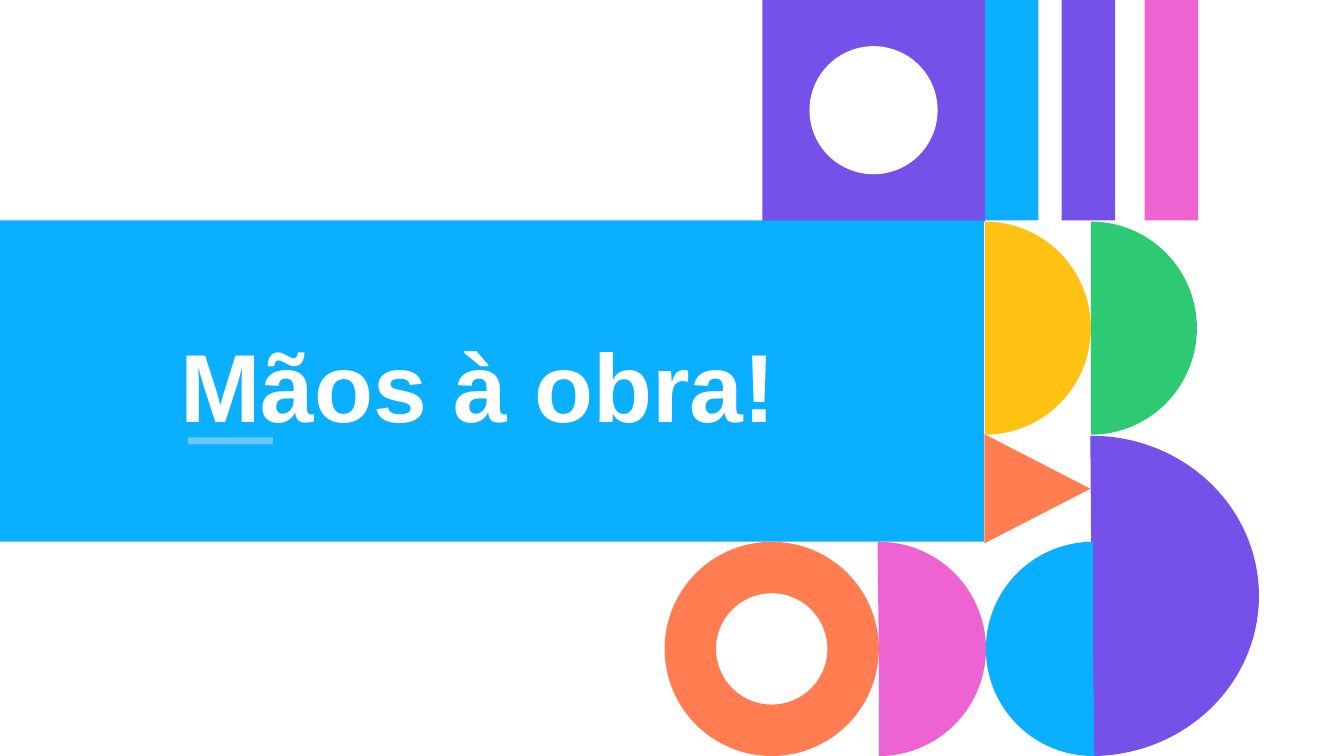
"""Builds a section slide: a titled blue band framed by geometric shapes."""
import math
from dataclasses import dataclass

from lxml import etree
from pptx import Presentation
from pptx import util as u
from pptx.dml.color import RGBColor
from pptx.enum import shapes, text
from pptx.oxml.ns import qn

PX = 9525
PURPLE = RGBColor(0x75, 0x51, 0xE9)
BLUE = RGBColor(0x0A, 0xAF, 0xFF)
PINK = RGBColor(0xED, 0x63, 0xD2)
ORANGE = RGBColor(0xFF, 0x7D, 0x51)
GREEN = RGBColor(0x2D, 0xCA, 0x73)
YELLOW = RGBColor(0xFF, 0xC2, 0x12)
WHITE = RGBColor(0xFF, 0xFF, 0xFF)
PALE = RGBColor(0xF2, 0xF2, 0xF2)

KIND = shapes.MSO_SHAPE
HALF = (53.57, 162)
ARC_STEPS = 60


@dataclass(frozen=True)
class Block:
    kind: KIND
    left: int
    top: int
    width: int
    height: int
    color: RGBColor
    turn: int = 0
    adjust: tuple[float, ...] = ()


@dataclass(frozen=True)
class HalfDisc:
    left: int
    top: int
    width: int
    height: int
    color: RGBColor


BACK_BLOCKS = [
    Block(KIND.RECTANGLE, 726, -1, 212, 212, PURPLE),
    Block(KIND.OVAL, 771, 44, 122, 122, WHITE),
    Block(KIND.RECTANGLE, 0, 210, 937, 306, BLUE),
]
BARS = [
    Block(KIND.RECTANGLE, left, 0, 51, 210, color)
    for left, color in ((938, BLUE), (1011, PURPLE), (1090, PINK))
]
MIDDLE_BLOCKS = [
    Block(KIND.DONUT, 633, 516, 204, 204, ORANGE, adjust=(0.24,)),
    *BARS,
    Block(KIND.PIE, 880, 415, 319, 305, PURPLE, 180, (53.75, 162)),
]
HALF_DISCS = [
    HalfDisc(1039, 211, 101, 203, GREEN),
    HalfDisc(938, 211, 101, 203, YELLOW),
]
FRONT_BLOCKS = [
    Block(KIND.ISOSCELES_TRIANGLE, 936, 415, 104, 101, ORANGE, 90),
    Block(KIND.PIE, 735, 516, 204, 204, PINK, 180, HALF),
    Block(KIND.PIE, 939, 516, 204, 204, BLUE, 0, HALF),
]


def paint(shape, color: RGBColor) -> None:
    """Give a shape a flat fill without line or shadow."""
    shape.shadow.inherit = False
    shape.fill.solid()
    shape.fill.fore_color.rgb = color
    shape.line.fill.background()


def draw_block(page, block: Block) -> None:
    """Draw one preset shape."""
    shape = page.shapes.add_shape(
        block.kind, block.left * PX, block.top * PX, block.width * PX, block.height * PX
    )
    shape.rotation = block.turn
    for index, value in enumerate(block.adjust):
        shape.adjustments[index] = value
    paint(shape, block.color)


def draw_half_disc(page, disc: HalfDisc) -> None:
    """Draw a half disc whose flat side faces left."""
    radius = disc.height * PX / 2
    middle = disc.top * PX + radius
    angles = [math.pi * (step / ARC_STEPS - 0.5) for step in range(ARC_STEPS + 1)]
    points = [
        (round(disc.left * PX + disc.width * PX * math.cos(angle)),
         round(middle + radius * math.sin(angle)))
        for angle in angles
    ]
    builder = page.shapes.build_freeform(*points[0])
    builder.add_line_segments(points[1:], close=True)
    paint(builder.convert_to_shape(), disc.color)


def place_title(page, wording: str) -> None:
    """Move the title placeholder onto the band and format it."""
    box = page.shapes.title
    page.shapes._spTree.append(box._element)
    box.left, box.top, box.width, box.height = (n * PX for n in (162, 295, 594, 121))
    frame = box.text_frame
    frame.word_wrap = True
    frame.auto_size = text.MSO_AUTO_SIZE.SHAPE_TO_FIT_TEXT
    frame.vertical_anchor = text.MSO_ANCHOR.TOP
    para = frame.paragraphs[0]
    para.alignment = text.PP_ALIGN.LEFT
    para.line_spacing = 1.1
    para.space_before = u.Pt(0)
    span = para.add_run()
    span.text = wording
    span.font.name = "Arial"
    span.font.size = u.Pt(69)
    span.font.bold = True
    span.font.color.rgb = WHITE


def draw_underline(page) -> None:
    """Draw the translucent accent line below the title."""
    rule = page.shapes.add_connector(
        shapes.MSO_CONNECTOR.STRAIGHT, 179 * PX, 420 * PX, 260 * PX, 420 * PX
    )
    rule.line.width = u.Pt(5)
    rule.line.color.rgb = PALE
    properties = rule._element.spPr
    tint = properties.find(".//" + qn("a:srgbClr"))
    etree.SubElement(tint, qn("a:alpha"), val="40000")
    etree.SubElement(properties, qn("a:effectLst"))


def main() -> None:
    """Build and save the deck."""
    deck = Presentation()
    deck.slide_width, deck.slide_height = 1280 * PX, 720 * PX
    page = deck.slides.add_slide(deck.slide_layouts[5])
    for block in BACK_BLOCKS:
        draw_block(page, block)
    place_title(page, "Mãos à obra!")
    draw_underline(page)
    for block in MIDDLE_BLOCKS:
        draw_block(page, block)
    for disc in HALF_DISCS:
        draw_half_disc(page, disc)
    for block in FRONT_BLOCKS:
        draw_block(page, block)
    deck.save("out.pptx")


if __name__ == "__main__":
    main()
